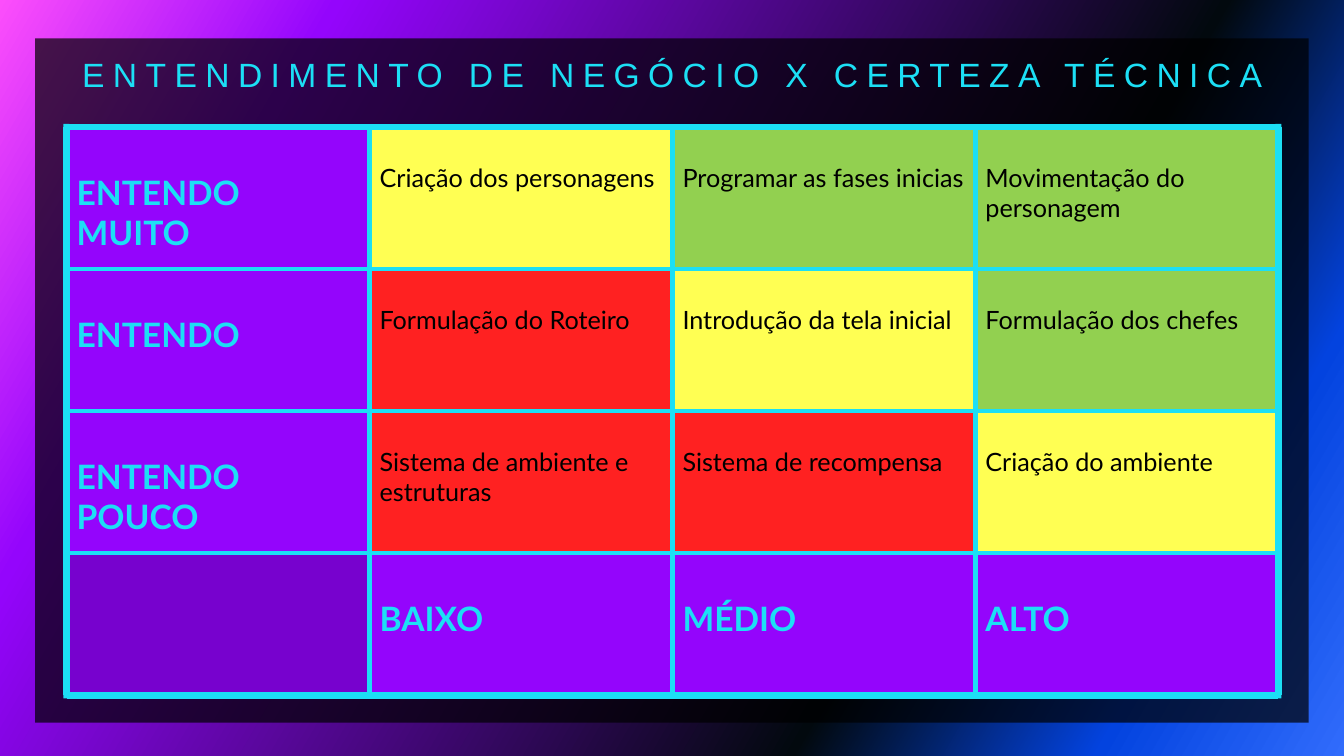
from dataclasses import dataclass

from lxml import etree
from pptx import Presentation
from pptx.dml.color import RGBColor
from pptx.enum.shapes import MSO_CONNECTOR, MSO_SHAPE
from pptx.enum.text import MSO_ANCHOR, PP_ALIGN
from pptx.oxml import parse_xml
from pptx.oxml.ns import nsdecls, qn
from pptx.util import Inches, Pt

STRAIGHT = MSO_CONNECTOR.STRAIGHT
RECTANGLE = MSO_SHAPE.RECTANGLE
MIDDLE, TOP = MSO_ANCHOR.MIDDLE, MSO_ANCHOR.TOP
CENTER, LEFT = PP_ALIGN.CENTER, PP_ALIGN.LEFT


@dataclass(frozen=True)
class Theme:
    """Colours, fonts and type sizes of the slide."""
    cyan: str = "1CDFF5"
    purple: str = "9405FC"
    dark_purple: str = "7702CE"
    yellow: str = "FFFF53"
    green: str = "92D050"
    red: str = "FF2121"
    black: str = "000000"
    backdrop: tuple = ((0, "316CFC"), (14, "0343DF"), (31, "02090E"),
                       (81, "9405FC"), (100, "FC4EFB"))
    title_font: str = "Arial"
    body_font: str = "Lato"
    heading_size: int = 24
    task_size: int = 18
    grid_width: float = 3
    frame_width: float = 4.5
    border_width: float = 0.5


class MatrixSlide:
    """Draws elements on one slide in a given theme."""

    def __init__(self, slide, theme):
        self.slide, self.shapes, self.theme = slide, slide.shapes, theme

    def backdrop(self):
        fill = self.slide.background.fill
        fill.gradient()
        fill.gradient_angle = 150
        stops = "".join(
            f'<a:gs pos="{pos * 1000}"><a:srgbClr val="{color}"/></a:gs>'
            for pos, color in self.theme.backdrop)
        stop_list = next(self.slide.element.iter(qn("a:gsLst")))
        stop_list.getparent().replace(
            stop_list, parse_xml(f'<a:gsLst {nsdecls("a")}>{stops}</a:gsLst>'))

    def rectangle(self, left, top, width, height, color, opacity=100):
        box = self.shapes.add_shape(RECTANGLE, Inches(left), Inches(top),
                                    Inches(width), Inches(height))
        box.shadow.inherit = False
        box.fill.solid()
        box.fill.fore_color.rgb = RGBColor.from_string(color)
        box.line.fill.background()
        if opacity < 100:
            tint = next(box.fill._xPr.iter(qn("a:srgbClr")))
            etree.SubElement(tint, qn("a:alpha"), val=str(opacity * 1000))

    def style(self, paragraph, font_name, size, color, bold=False):
        font = paragraph.font
        font.name, font.size, font.bold = font_name, Pt(size), bold
        font.color.rgb = RGBColor.from_string(color)

    def title(self, text, left, top, width, height, tracking):
        frame = self.shapes.add_textbox(Inches(left), Inches(top), Inches(width),
                                        Inches(height)).text_frame
        frame.word_wrap = True
        frame.vertical_anchor = MIDDLE
        frame.margin_left = frame.margin_right = frame.margin_top = frame.margin_bottom = 0
        heading = frame.paragraphs[0]
        heading.alignment = CENTER
        heading.line_spacing = 0.9
        run = heading.add_run()
        run.text = text
        run.font._element.set("spc", str(tracking * 100))
        self.style(heading, self.theme.title_font, self.theme.heading_size, self.theme.cyan)

    def cell(self, cell, text, color, is_heading):
        theme = self.theme
        properties = cell._tc.get_or_add_tcPr()
        for side in "LRTB":
            properties.append(parse_xml(
                f'<a:ln{side} {nsdecls("a")} w="{Pt(theme.border_width)}"><a:solidFill>'
                f'<a:srgbClr val="{theme.purple}"/></a:solidFill></a:ln{side}>'))
        cell.fill.solid()
        cell.fill.fore_color.rgb = RGBColor.from_string(color)
        cell.vertical_anchor = TOP
        cell.margin_top = Inches(0.45 if is_heading else 0.35)
        cell.text = text
        label = cell.text_frame.paragraphs[0]
        label.alignment = LEFT
        if is_heading:
            self.style(label, theme.body_font, theme.heading_size, theme.cyan, True)
        else:
            self.style(label, theme.body_font, theme.task_size, theme.black)

    def matrix(self, rows, left, top, col_width, row_height):
        columns = len(rows[0])
        table = self.shapes.add_table(
            len(rows), columns, Inches(left), Inches(top),
            Inches(col_width * columns), Inches(row_height * len(rows))).table
        table.first_row = table.horz_banding = False
        for column in table.columns:
            column.width = Inches(col_width)
        for r, row in enumerate(rows):
            table.rows[r].height = Inches(row_height)
            for c, (text, color) in enumerate(row):
                is_heading = c == 0 or r == len(rows) - 1
                self.cell(table.cell(r, c), text, color, is_heading)

    def line(self, x1, y1, x2, y2, width):
        rule = self.shapes.add_connector(STRAIGHT, Inches(x1), Inches(y1),
                                         Inches(x2), Inches(y2))
        rule.line.color.rgb = RGBColor.from_string(self.theme.cyan)
        rule.line.width = Pt(width)
        etree.SubElement(rule._element.spPr, qn("a:effectLst"))

    def grid(self, xs, ys):
        theme = self.theme
        left, right, top, bottom = xs[0], xs[-1], ys[0], ys[-1]
        for x in xs:
            self.line(x, top, x, bottom,
                      theme.frame_width if x in (left, right) else theme.grid_width)
        for y in ys:
            self.line(left, y, right, y,
                      theme.frame_width if y in (top, bottom) else theme.grid_width)
        corner = 0.06
        for x in (left, right):
            for y in (top, bottom):
                self.rectangle(x - corner / 2, y - corner / 2, corner, corner, theme.cyan)


def main():
    """Build the business understanding and technical certainty matrix."""
    theme = Theme()
    presentation = Presentation()
    presentation.slide_width, presentation.slide_height = Inches(13.33), Inches(7.5)
    page = MatrixSlide(presentation.slides.add_slide(presentation.slide_layouts[6]), theme)
    purple, yellow, green, red = theme.purple, theme.yellow, theme.green, theme.red
    rows = (
        (("ENTENDO MUITO", purple), ("Criação dos personagens", yellow),
         ("Programar as fases inicias", green), ("Movimentação do personagem", green)),
        (("ENTENDO", purple), ("Formulação do Roteiro", red),
         ("Introdução da tela inicial", yellow), ("Formulação dos chefes", green)),
        (("ENTENDO POUCO", purple), ("Sistema de ambiente e estruturas", red),
         ("Sistema de recompensa", red), ("Criação do ambiente", yellow)),
        (("", theme.dark_purple), ("BAIXO", purple), ("MÉDIO", purple), ("ALTO", purple)),
    )
    left, top, width, row_height = 0.66, 1.26, 12.02, 1.41
    col_width = width / len(rows[0])
    page.backdrop()
    page.rectangle(0.35, 0.38, 12.63, 6.79, theme.black, opacity=70)
    page.title("ENTENDIMENTO DE NEGÓCIO X CERTEZA TÉCNICA", left, 0.53, width, 0.46, tracking=6)
    page.matrix(rows, left, top, col_width, row_height)
    page.grid([left + col_width * i for i in range(len(rows[0]) + 1)],
              [top + row_height * i for i in range(len(rows) + 1)])
    presentation.save("out.pptx")


if __name__ == "__main__":
    main()
